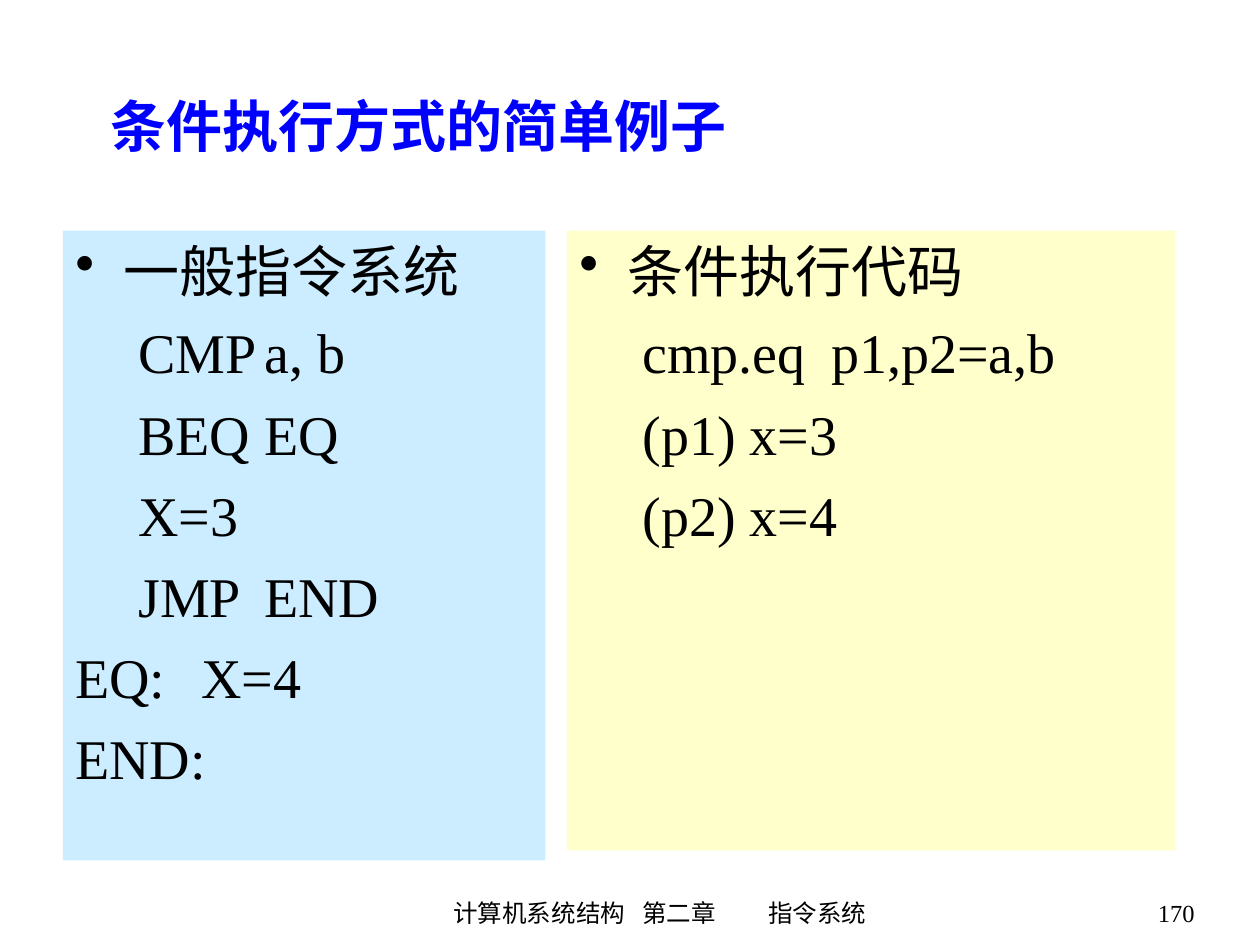
"""Build a slide comparing ordinary branching code with conditional execution."""
from lxml.etree import SubElement
from pptx import Presentation
from pptx.dml.color import RGBColor
from pptx.enum.shapes import MSO_SHAPE
from pptx.enum.text import MSO_ANCHOR, PP_ALIGN
from pptx.oxml.ns import qn
from pptx.util import Inches, Pt

COLORS = {"text": "000000", "title": "0000FF", "ordinary": "CCECFF", "conditional": "FFFFCC"}


def write(frame, text, size=32, color="text", bold=False, align=PP_ALIGN.LEFT,
          before=0, margin=0, bullet=False, tabs=()):
    paragraph = frame.paragraphs[0]
    if paragraph.runs:
        paragraph = frame.add_paragraph()
    paragraph.alignment = align
    paragraph.space_before = Pt(before)
    run = paragraph.add_run()
    run.text = text
    run.font.name = "Times New Roman"
    run.font.size = Pt(size)
    run.font.bold = bold
    run.font.color.rgb = RGBColor.from_string(COLORS[color])
    properties = paragraph._p.get_or_add_pPr()
    properties.set("marL", str(Inches(margin)))
    properties.set("indent", str(Inches(-margin if bullet else 0)))
    if bullet:
        SubElement(properties, qn("a:buChar"), char="•")
    else:
        SubElement(properties, qn("a:buNone"))
    if tabs:
        stops = SubElement(properties, qn("a:tabLst"))
        for stop in tabs:
            SubElement(stops, qn("a:tab"), pos=str(Inches(stop)), algn="l")


def add_box(left, top, width, height, fill=None, anchor=MSO_ANCHOR.TOP):
    area = [Inches(length) for length in (left, top, width, height)]
    if fill:
        shape = slide.shapes.add_shape(MSO_SHAPE.RECTANGLE, *area)
        shape.shadow.inherit = False
        shape.fill.solid()
        shape.fill.fore_color.rgb = RGBColor.from_string(COLORS[fill])
        shape.line.fill.background()
    else:
        shape = slide.shapes.add_textbox(*area)
    frame = shape.text_frame
    frame.word_wrap = True
    frame.vertical_anchor = anchor
    return frame


presentation = Presentation()
presentation.slide_width = Inches(10)
presentation.slide_height = Inches(7.5)
slide = presentation.slides.add_slide(presentation.slide_layouts[6])

footer = add_box(3, 7.08, 4.75, 0.42)
write(footer, "\t计算机系统结构\t第二章\t指令系统", size=14, tabs=(0.74, 2.35, 3.03))
number = add_box(8.08, 7.08, 1.5, 0.42)
write(number, "170", size=14, align=PP_ALIGN.RIGHT)

panels = [
    ("conditional", (4.5, 1.83, 4.83, 4.92), "条件执行代码", (0.44, 1.96),
     ["\tcmp.eq\tp1,p2=a,b", "\t(p1) x=3", "\t(p2) x=4"]),
    ("ordinary", (0.5, 1.83, 3.83, 5), "一般指令系统", (1, 2.15),
     ["\tCMP\ta, b", "\tBEQ\tEQ", "\tX=3", "\tJMP\tEND", "EQ:\tX=4", "END:"]),
]
for fill, area, heading, tabs, code in panels:
    panel = add_box(*area, fill=fill)
    write(panel, heading, before=8, margin=0.38, bullet=True)
    for line in code:
        write(panel, line, before=8, tabs=tabs)

title = add_box(0.67, 0.33, 8.5, 1.33, anchor=MSO_ANCHOR.MIDDLE)
write(title, "条件执行方式的简单例子", color="title", bold=True, margin=0.11)

presentation.save("out.pptx")
